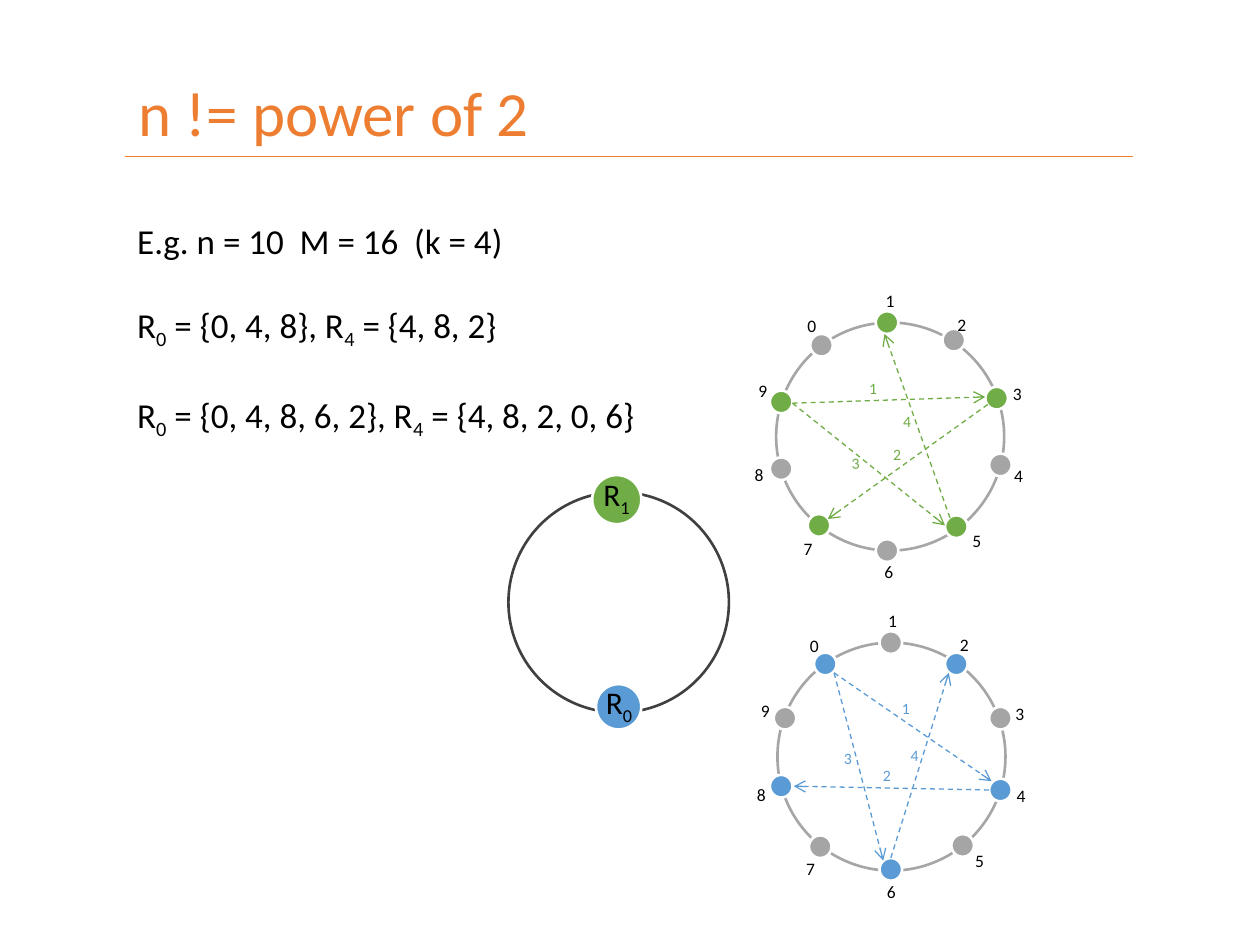
from lxml.etree import SubElement
from pptx import Presentation
from pptx.dml.color import RGBColor
from pptx.enum.dml import MSO_LINE
from pptx.enum.shapes import MSO_CONNECTOR, MSO_SHAPE
from pptx.enum.text import MSO_ANCHOR, MSO_AUTO_SIZE, PP_ALIGN
from pptx.oxml.ns import qn
from pptx.util import Inches, Pt

ORANGE = RGBColor(0xED, 0x7D, 0x31)
GREEN = RGBColor(0x70, 0xAD, 0x47)
BLUE = RGBColor(0x5B, 0x9B, 0xD5)
GRAY = RGBColor(0xA5, 0xA5, 0xA5)
RING_GRAY = RGBColor(0xA6, 0xA6, 0xA6)
DARK = RGBColor(0x40, 0x40, 0x40)
BLACK = RGBColor(0, 0, 0)
WHITE = RGBColor(0xFF, 0xFF, 0xFF)

prs = Presentation()
prs.slide_width, prs.slide_height = Inches(10), Inches(7.5)
COL, ROW = prs.slide_width // 100, prs.slide_height // 75
s = prs.slides.add_slide(prs.slide_layouts[5])


def write(text, x, y, w, h, size=10, color=BLACK, sp=None, wrap=True,
          gap=0, spacing=1.0, rotation=0):
    sp = sp or s.shapes.add_textbox(0, 0, 0, 0)
    sp.left, sp.top = int(x * COL), int(y * ROW)
    sp.width, sp.height = int(w * COL), int(h * ROW)
    sp.rotation = rotation
    tf = sp.text_frame
    tf.word_wrap, tf.auto_size = wrap, MSO_AUTO_SIZE.NONE
    tf.vertical_anchor = MSO_ANCHOR.TOP
    for i, line in enumerate(text.split("\n")):
        p = tf.add_paragraph() if i else tf.paragraphs[0]
        p.alignment, p.line_spacing = PP_ALIGN.LEFT, spacing
        p.space_before = Pt(gap if i else 0)
        first, *rest = line.split("_")
        parts = [(first, False)]
        for part in rest:
            parts += [(part[0], True), (part[1:], False)]
        for part, subscript in parts:
            if part:
                r = p.add_run()
                r.text = part
                r.font.name, r.font.size = "Calibri", Pt(size)
                r.font.color.rgb = color
                if subscript:
                    r._r.get_or_add_rPr().set("baseline", "-25000")


def circle(cx, cy, d, fill, line):
    sp = s.shapes.add_shape(MSO_SHAPE.OVAL, int((cx - d / 2) * COL),
                            int((cy - d / 2) * ROW), int(d * COL), int(d * ROW))
    sp.shadow.inherit = False
    if fill is None:
        sp.fill.background()
    else:
        sp.fill.solid()
        sp.fill.fore_color.rgb = fill
    sp.line.color.rgb, sp.line.width = line, Pt(1.5)


write("n != power of 2", 10, 6, 79, 8.1, size=36, color=ORANGE,
      sp=s.shapes.title, spacing=0.9)

circle(49.1, 47.8, 17.5, None, DARK)
circle(48.95, 39.65, 3.9, GREEN, WHITE)
circle(49.1, 56.1, 3.6, BLUE, WHITE)
write("R_0", 47.1, 53.7, 5.2, 4, size=18)
write("R_1", 46.9, 37.2, 5.2, 4, size=18)

labels = [(63.1, 24.5), (69.3, 22.5), (75, 24.4), (79.4, 29.9), (79.5, 36.4),
          (76.2, 41.6), (69.2, 44), (62.8, 42.2), (58.9, 36.3), (59.2, 29.7)]

rings = [
    dict(color=GREEN, center=(70.65, 34.65), shift=(0, 0), active=(1, 3, 5, 7, 9),
         nodes=[(65.2, 27.4), (70.4, 25.6), (75.7, 27), (79.1, 31.6), (79.4, 36.9),
                (75.9, 41.8), (70.4, 43.7), (65, 41.7), (62, 37.2), (62, 31.9)],
         hops=[(62.9, 32, 78.2, 31.5, 68, 29.6, 0),
               (78.4, 32.1, 65.7, 41.2, 69.9, 34.8, 0),
               (62.9, 32, 75, 41.7, 66.6, 35.5, -2.6),
               (75.4, 41.1, 70.2, 26.5, 70.7, 32.2, 0)]),
    dict(color=BLUE, center=(70.75, 60.05), shift=(0.2, 25.4), active=(0, 2, 4, 6, 8),
         nodes=[(65.5, 52.7), (70.7, 51), (75.9, 52.7), (79.4, 57), (79.4, 62.7),
                (76.4, 67.1), (70.7, 69), (65.1, 67.2), (62, 62.4), (62.3, 57)],
         hops=[(66.2, 53.4, 78.7, 62, 70.6, 55, 0),
               (78.5, 62.7, 63, 62.4, 69.1, 60.3, 0),
               (66.2, 53.4, 70.1, 68.3, 66, 58.9, 0),
               (70.7, 68.1, 75.3, 53.4, 71.3, 58.7, 0)]),
]

lines = [(9.9, 12.4, 89.9, 12.4, ORANGE, 0.5, False)]
for ring in rings:
    color, (dx, dy) = ring["color"], ring["shift"]
    circle(*ring["center"], 18.1, WHITE, RING_GRAY)
    for n, ((cx, cy), (x, y)) in enumerate(zip(ring["nodes"], labels)):
        circle(cx, cy, 1.8, color if n in ring["active"] else GRAY, WHITE)
        write(str(n), x + dx, y + dy, 2.7, 2.7, wrap=False)
    for step, (x1, y1, x2, y2, x, y, rotation) in enumerate(ring["hops"], 1):
        lines.append((x1, y1, x2, y2, color, 0.75, True))
        write(str(step), x, y, 2.7, 2.5, size=9, color=color, wrap=False,
              rotation=rotation)

for x1, y1, x2, y2, color, width, arrow in lines:
    c = s.shapes.add_connector(MSO_CONNECTOR.STRAIGHT, int(x1 * COL), int(y1 * ROW),
                               int(x2 * COL), int(y2 * ROW))
    c.line.color.rgb, c.line.width = color, Pt(width)
    if arrow:
        c.line.dash_style = MSO_LINE.DASH
        SubElement(c.line._get_or_add_ln(), qn("a:tailEnd"), type="arrow")
    SubElement(c._element.spPr, qn("a:effectLst"))

write("E.g. n = 10  M = 16  (k = 4)\n"
      "R_0 = {0, 4, 8}, R_4 = {4, 8, 2}\n"
      "R_0 = {0, 4, 8, 6, 2}, R_4 = {4, 8, 2, 0, 6}",
      9.9, 16.9, 81.1, 21.2, size=20, gap=24)

prs.save("out.pptx")
